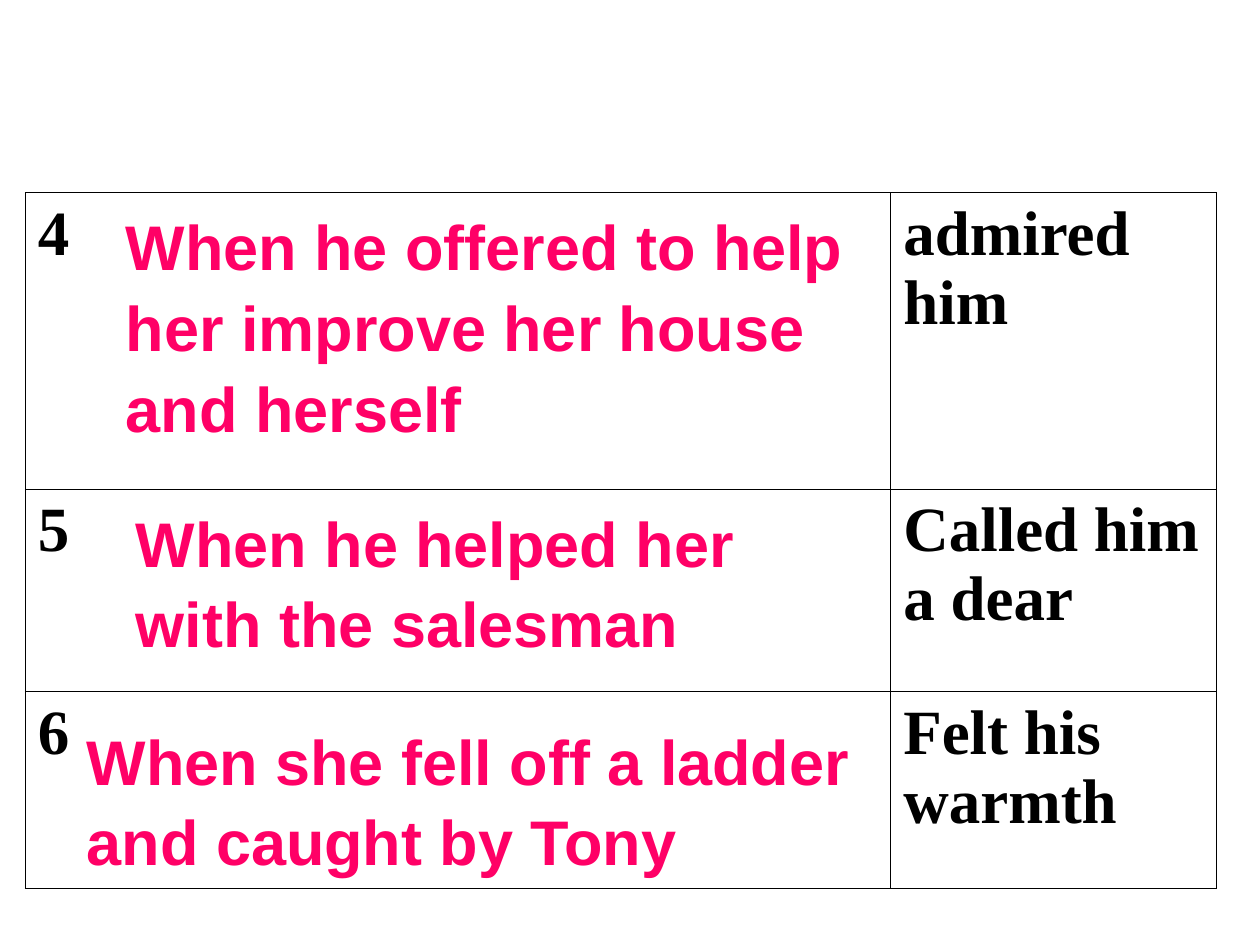
import pptx
import pptx.util
import pptx.dml.color
from lxml import etree
from pptx.oxml.ns import qn

Inches, Pt = pptx.util.Inches, pptx.util.Pt
RGB = pptx.dml.color.RGBColor.from_string

THEME = {
    "ink": "000000", "answer": "FF0066", "size": 36, "border": 0.45,
    "table_font": "Times New Roman", "answer_font": "Arial",
}
ROWS = [("4", "admired him"), ("5", "Called him a dear"), ("6", "Felt his warmth")]
COL_WIDTHS = [6.87, 2.58]
ROW_HEIGHTS = [2.35, 1.61, 1.56]
TABLE_LEFT, TABLE_TOP = 0.2, 1.53

# text, left, offset below the top of its row, width, height
ANSWERS = [
    ("When he offered to help her improve her house and herself", 0.9, 0.03, 6.21, 1.9),
    ("When he helped her with the salesman", 0.98, 0.03, 5.72, 1.3),
    ("When she fell off a ladder and caught by Tony", 0.59, 0.15, 6.3, 1.3),
]


def write(tf, text, font, color, spacing=None):
    tf.word_wrap = True
    p = tf.paragraphs[0]
    p.line_spacing = spacing
    r = p.add_run()
    r.text = text
    r.font.name, r.font.size, r.font.bold = font, Pt(THEME["size"]), True
    r.font.color.rgb = RGB(color)


def outline(cell):
    """Draw a thin solid line on all four sides of a cell."""
    tc_pr = cell._tc.get_or_add_tcPr()
    for i, side in enumerate(("lnL", "lnR", "lnT", "lnB")):
        ln = etree.Element(qn("a:" + side), w=str(int(Pt(THEME["border"]))))
        fill = etree.SubElement(ln, qn("a:solidFill"))
        etree.SubElement(fill, qn("a:srgbClr"), val=THEME["ink"])
        tc_pr.insert(i, ln)


def add_grid(s):
    frame = s.shapes.add_table(
        len(ROWS), len(COL_WIDTHS), Inches(TABLE_LEFT), Inches(TABLE_TOP),
        Inches(sum(COL_WIDTHS)), Inches(sum(ROW_HEIGHTS)))
    table = frame.table
    table.first_row = table.horz_banding = False
    for col, width in zip(table.columns, COL_WIDTHS):
        col.width = Inches(width)
    for row, height, texts in zip(table.rows, ROW_HEIGHTS, ROWS):
        row.height = Inches(height)
        for cell, text in zip(row.cells, texts):
            cell.fill.background()
            outline(cell)
            write(cell.text_frame, text, THEME["table_font"], THEME["ink"])


def add_answers(s):
    for i, (text, left, offset, width, height) in enumerate(ANSWERS):
        top = TABLE_TOP + sum(ROW_HEIGHTS[:i]) + offset
        box = s.shapes.add_textbox(Inches(left), Inches(top), Inches(width), Inches(height))
        write(box.text_frame, text, THEME["answer_font"], THEME["answer"], spacing=1.07)


def main():
    prs = pptx.Presentation()
    prs.slide_width, prs.slide_height = Inches(10), Inches(7.5)
    s = prs.slides.add_slide(prs.slide_layouts[6])
    add_grid(s)
    add_answers(s)
    prs.save("out.pptx")


if __name__ == "__main__":
    main()
